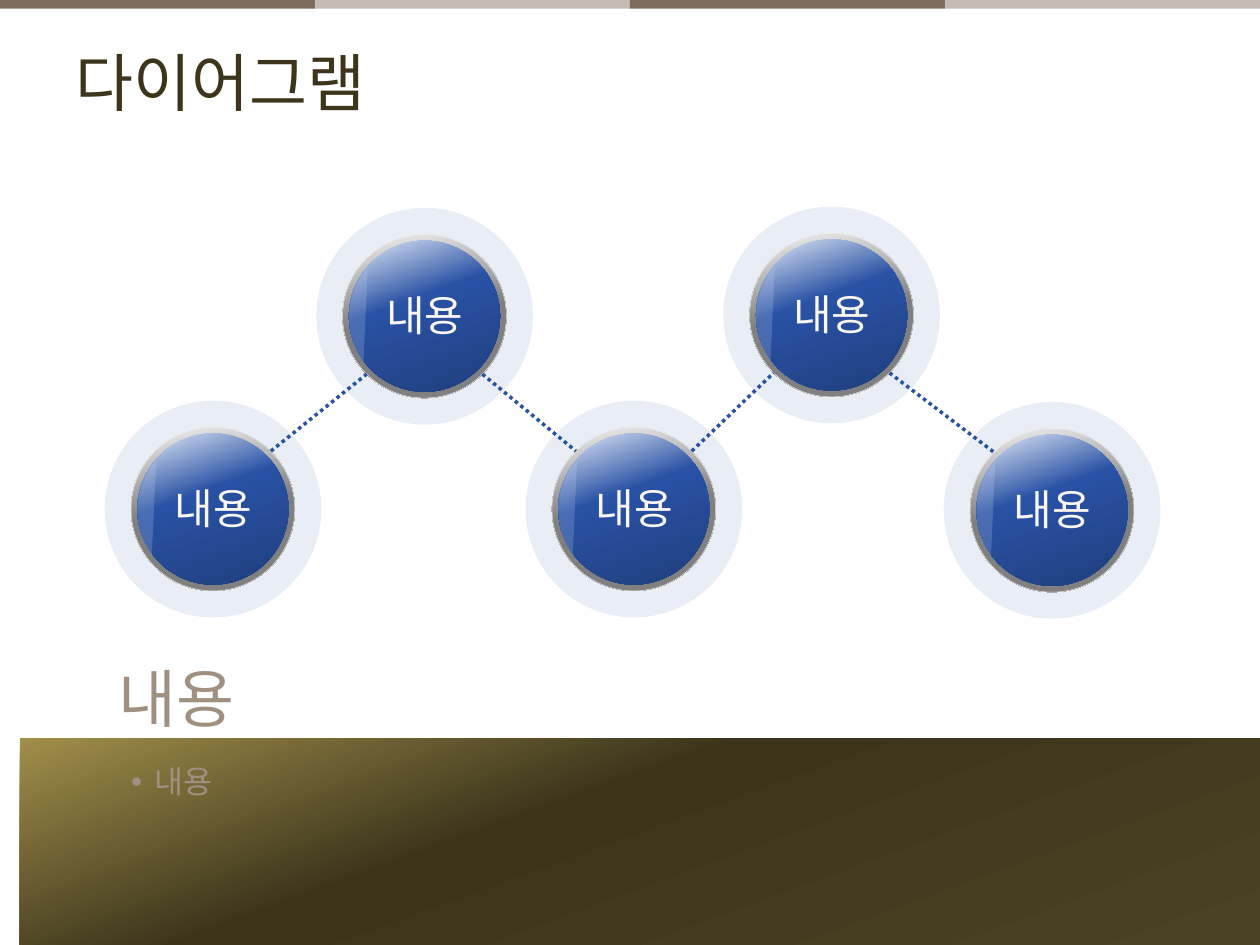
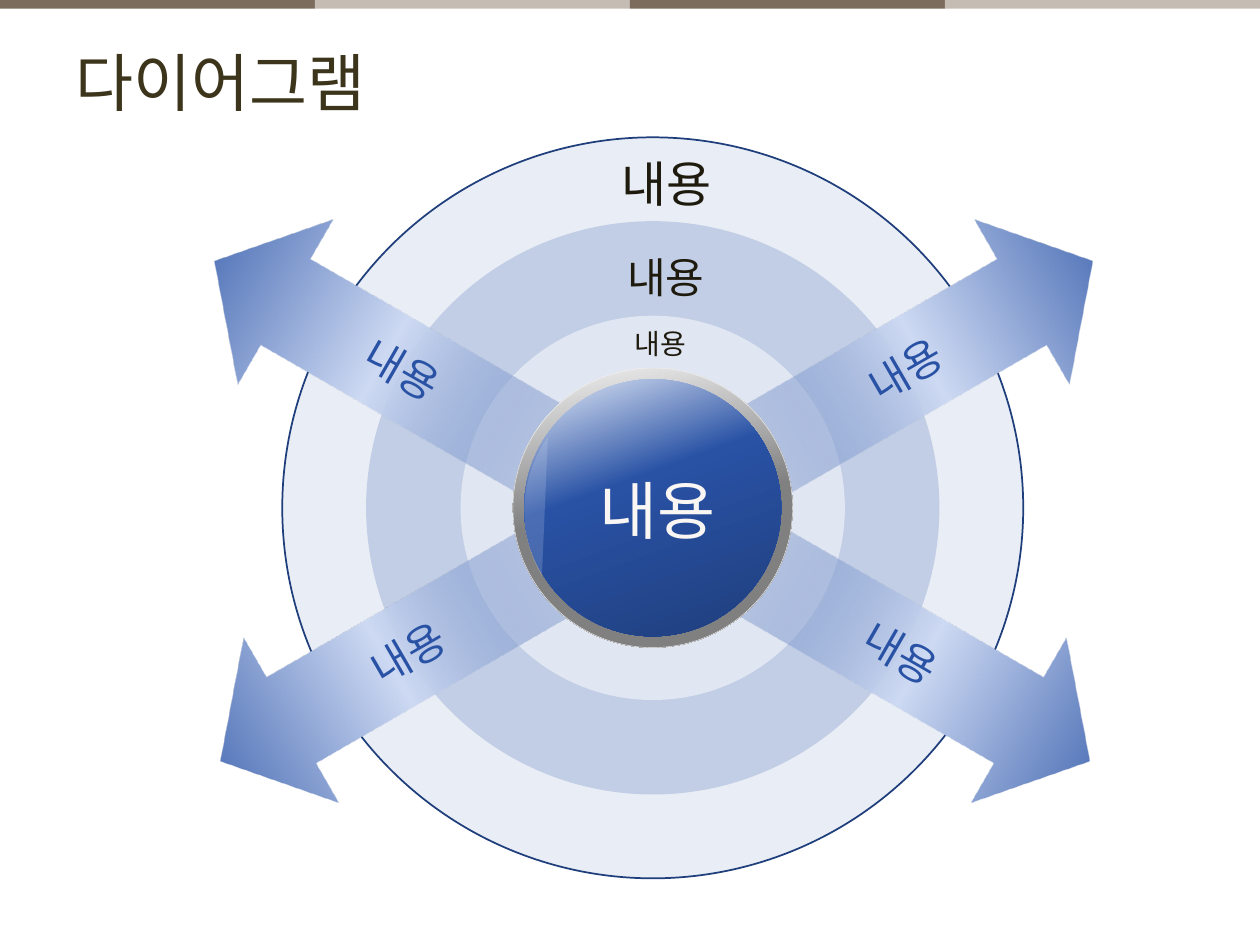
from itertools import pairwise
from math import copysign, sqrt

from lxml.etree import SubElement
from pptx import Presentation
from pptx.dml.color import RGBColor
from pptx.enum.dml import MSO_LINE
from pptx.enum.shapes import MSO_CONNECTOR, MSO_SHAPE
from pptx.enum.text import MSO_ANCHOR, MSO_AUTO_SIZE, PP_ALIGN
from pptx.oxml.ns import qn
from pptx.util import Pt

WHITE = RGBColor(0xFF, 0xFF, 0xFF)
CREAM = RGBColor(0xF9, 0xF6, 0xF4)
TAUPE = RGBColor(0x7B, 0x6C, 0x5D)
SAND = RGBColor(0xC5, 0xBC, 0xB3)
STONE = RGBColor(0x9F, 0x90, 0x81)
INK = RGBColor(0x1E, 0x1A, 0x0E)
GOLD = RGBColor(0xA1, 0x8E, 0x4B)
BROWN = RGBColor(0x3C, 0x35, 0x1C)
OLIVE = RGBColor(0x4A, 0x42, 0x23)
BLUE = RGBColor(0x29, 0x52, 0xA5)
NAVY = RGBColor(0x1F, 0x3E, 0x7C)
SKY = RGBColor(0xCE, 0xDA, 0xF3)
ICE = RGBColor(0xE7, 0xED, 0xF9)
SILVER = RGBColor(0xF2, 0xF2, 0xF2)
GREY = RGBColor(0x80, 0x80, 0x80)

TITLE_FONT = "DejaVu Sans"
BODY_FONT = "Roboto"
TITLE = "다이어그램"
CONTENT = "내용"

# Gradient stops: position in percent, colour, opacity in percent
PANEL_STOPS = [(0, GOLD, 100), (40, BROWN, 100), (100, OLIVE, 100)]
RIM_STOPS = [(0, SILVER, 100), (50, GREY, 100), (100, GREY, 100)]
FACE_STOPS = [(0, ICE, 100), (40, BLUE, 100), (100, NAVY, 100)]
ARROW_STOPS = [(0, BLUE, 0), (50, SKY, 100), (100, BLUE, 100)]

NODE_CENTRES = [(121.7, 290.9), (242.6, 180.7), (362.2, 290.9),
                (475.2, 180), (601.2, 291.6)]
NODE_RIM = 93.6
HUB = (373, 290.2)


def set_opacity(color_element, percent):
    SubElement(color_element, qn("a:alpha")).set("val", str(percent * 1000))


def fill_solid(shape, color, opacity=100):
    shape.fill.solid()
    shape.fill.fore_color.rgb = color
    if opacity < 100:
        set_opacity(shape.element.spPr.find(qn("a:solidFill"))[0], opacity)


def fill_gradient(shape, stops, angle):
    shape.fill.gradient()
    gradient = shape.element.spPr.find(qn("a:gradFill"))
    for child in list(gradient):
        gradient.remove(child)
    stop_list = SubElement(gradient, qn("a:gsLst"))
    for position, color, opacity in stops:
        stop = SubElement(stop_list, qn("a:gs"))
        stop.set("pos", str(position * 1000))
        color_element = SubElement(stop, qn("a:srgbClr"))
        color_element.set("val", str(color))
        if opacity < 100:
            set_opacity(color_element, opacity)
    SubElement(gradient, qn("a:lin")).set("ang", str(angle * 60000))


def add_plain_shape(slide, kind, left, top, width, height, line=None, line_width=1):
    """Add a preset shape without shadow, outlined only if a line colour is given."""
    shape = slide.shapes.add_shape(kind, Pt(left), Pt(top), Pt(width), Pt(height))
    shape.shadow.inherit = False
    if line is None:
        shape.line.fill.background()
    else:
        shape.line.color.rgb = line
        shape.line.width = Pt(line_width)
    return shape


def add_disc(slide, centre, diameter, kind=MSO_SHAPE.OVAL, **line_format):
    x, y = centre
    return add_plain_shape(slide, kind, x - diameter / 2, y - diameter / 2,
                           diameter, diameter, **line_format)


def write_text(shape, text, size, color, font=BODY_FONT, align=PP_ALIGN.LEFT,
               anchor=MSO_ANCHOR.TOP, wrap=True, bullet=None, indent=0, margin=None):
    frame = shape.text_frame
    frame.word_wrap = wrap
    frame.vertical_anchor = anchor
    if margin is not None:
        frame.margin_left = frame.margin_right = Pt(margin)
        frame.margin_top = frame.margin_bottom = Pt(margin)
    paragraph = frame.paragraphs[0]
    paragraph.text = text
    paragraph.alignment = align
    paragraph.space_before = Pt(0)
    if bullet:
        properties = paragraph._p.get_or_add_pPr()
        properties.set("marL", str(Pt(indent)))
        properties.set("indent", str(-Pt(indent)))
        SubElement(properties, qn("a:buChar")).set("char", bullet)
    run_font = paragraph.runs[0].font
    run_font.name = font
    run_font.size = Pt(size)
    run_font.color.rgb = color


def add_label(slide, left, top, width, height, text, **text_format):
    box = slide.shapes.add_textbox(Pt(left), Pt(top), Pt(width), Pt(height))
    write_text(box, text, **text_format)
    box.text_frame.auto_size = MSO_AUTO_SIZE.SHAPE_TO_FIT_TEXT


def place(shape, left, top, width, height):
    shape.left, shape.top = Pt(left), Pt(top)
    shape.width, shape.height = Pt(width), Pt(height)


def start_slide(presentation, layout_index):
    """Add a slide with the four-part top band."""
    slide = presentation.slides.add_slide(presentation.slide_layouts[layout_index])
    for index, color in enumerate([TAUPE, SAND] * 2):
        band = add_plain_shape(slide, MSO_SHAPE.RECTANGLE, index * 180, 0, 180, 5)
        fill_solid(band, color)
    return slide


def add_title(slide):
    title = slide.shapes.title
    place(title, 36, 15, 648, 63)
    write_text(title, TITLE, size=36, color=BROWN, font=TITLE_FONT,
               anchor=MSO_ANCHOR.MIDDLE)


def add_glossy_ball(slide, centre, rim_size, face_size, chord_angles, chord_drop):
    rim = add_disc(slide, centre, rim_size, line=SILVER, line_width=0.25)
    fill_gradient(rim, RIM_STOPS, 80)
    fill_gradient(add_disc(slide, centre, face_size), FACE_STOPS, 70)
    x, y = centre
    gloss = add_disc(slide, (x, y + chord_drop), face_size, MSO_SHAPE.CHORD)
    gloss.rotation = 90
    for index, degrees in enumerate(chord_angles):
        gloss.adjustments[index] = degrees * 0.6
    fill_solid(gloss, SKY, 20)


def add_node(slide, centre):
    fill_solid(add_disc(slide, centre, 123.8), BLUE, 10)
    add_glossy_ball(slide, centre, NODE_RIM, 86.4, (53.95, 131.3), 0.9)
    x, y = centre
    add_label(slide, x - 41.6, y - 18.7, 83.5, 36, CONTENT, size=24, color=CREAM,
              align=PP_ALIGN.CENTER)


def add_dotted_link(slide, start, end):
    """Join two nodes at the diagonal points of their rims."""
    reach = NODE_RIM / 2 / sqrt(2)
    (start_x, start_y), (end_x, end_y) = start, end
    rise = copysign(reach, end_y - start_y)
    link = slide.shapes.add_connector(
        MSO_CONNECTOR.STRAIGHT, Pt(start_x + reach), Pt(start_y + rise),
        Pt(end_x - reach), Pt(end_y - rise))
    link.line.color.rgb = BLUE
    link.line.width = Pt(2)
    link.line.dash_style = MSO_LINE.ROUND_DOT
    SubElement(link.element.spPr, qn("a:effectLst"))


def add_arrow(slide, left, top, rotation, flip=None):
    arrow = add_plain_shape(slide, MSO_SHAPE.RIGHT_ARROW, left, top, 223.2, 108.7)
    arrow.rotation = rotation
    if flip:
        arrow.element.spPr.find(qn("a:xfrm")).set(flip, "1")
    arrow.adjustments[0] = 0.52
    arrow.adjustments[1] = 0.43
    fill_gradient(arrow, ARROW_STOPS, 0)
    write_text(arrow, CONTENT, size=24, color=BLUE, align=PP_ALIGN.CENTER,
               anchor=MSO_ANCHOR.MIDDLE, wrap=False)


def build_zigzag_slide(presentation):
    slide = start_slide(presentation, 1)
    add_title(slide)
    panel = add_plain_shape(slide, MSO_SHAPE.RECTANGLE, 11.3, 422, 708.7, 118)
    fill_gradient(panel, PANEL_STOPS, 70)
    for centre in NODE_CENTRES:
        add_node(slide, centre)
    for start, end in pairwise(NODE_CENTRES):
        add_dotted_link(slide, start, end)

    body = slide.placeholders[1]
    place(body, 67.7, 432, 573, 93.6)
    write_text(body, CONTENT, size=18, color=STONE, bullet="•", indent=13.5)
    slide.shapes.element.append(body.element)  # bring in front of the panel
    add_label(slide, 67.7, 376.6, 584.6, 43.2, CONTENT, size=36, color=STONE,
              anchor=MSO_ANCHOR.BOTTOM, margin=0)


def build_radial_slide(presentation):
    slide = start_slide(presentation, 5)
    fill_solid(add_disc(slide, HUB, 423.4, line=NAVY), BLUE, 10)
    fill_solid(add_disc(slide, HUB, 327.6), BLUE, 20)
    fill_solid(add_disc(slide, HUB, 219.6), WHITE, 50)
    add_title(slide)

    add_arrow(slide, 414, 324.7, 30)
    add_arrow(slide, 416.2, 150.5, 330)
    add_arrow(slide, 110.9, 324.7, 150, "flipV")
    add_arrow(slide, 108, 150.5, 30, "flipH")

    add_glossy_ball(slide, HUB, 159.8, 146.9, (59.63, 125.32), 2)
    for left, top, width, height, size, color in [
        (335.5, 265.7, 84.2, 51.1, 36, CREAM),
        (355.7, 182.9, 45.4, 26.6, 16, INK),
        (351.4, 140.4, 61.2, 35.3, 24, INK),
        (347.8, 84.2, 69.1, 41, 28, INK),
    ]:
        add_label(slide, left, top, width, height, CONTENT, size=size, color=color,
                  wrap=False)


def main():
    presentation = Presentation()
    presentation.slide_width = Pt(720)
    presentation.slide_height = Pt(540)
    build_zigzag_slide(presentation)
    build_radial_slide(presentation)
    presentation.save("out.pptx")


if __name__ == "__main__":
    main()
